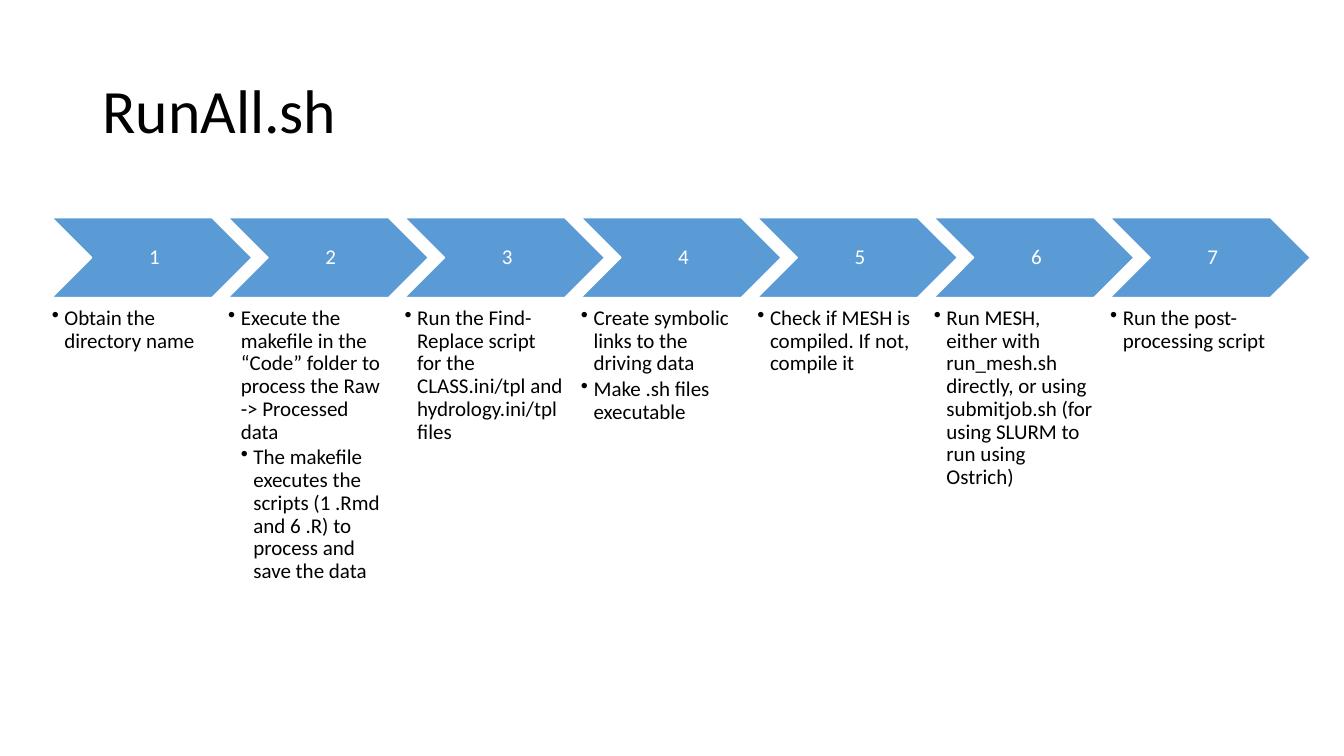
from dataclasses import dataclass
from lxml import etree
from pptx import Presentation
from pptx import util as u
from pptx.dml.color import RGBColor
from pptx.enum import shapes, text
from pptx.oxml import ns


@dataclass(frozen=True)
class Theme:
    face: str = "Calibri"
    blue: str = "5B9BD5"
    white: str = "FFFFFF"
    black: str = "000000"
    head: int = 44
    body: int = 15


class Deck:
    def __init__(self, theme):
        self.theme = theme
        self.prs = Presentation()
        self.prs.slide_width, self.prs.slide_height = u.Pt(960), u.Pt(540)
        self.slide = self.prs.slides.add_slide(self.prs.slide_layouts[5])

    def style(self, para, size, color, align=text.PP_ALIGN.LEFT, after=0):
        para.alignment = align
        para.line_spacing = 0.9
        para.space_before, para.space_after = u.Pt(0), u.Pt(after)
        font = para.font
        font.name, font.size = self.theme.face, u.Pt(size)
        font.color.rgb = RGBColor.from_string(color)

    def inset(self, frame, left, top, right, low):
        frame.word_wrap = True
        frame.margin_left, frame.margin_top = u.Pt(left), u.Pt(top)
        frame.margin_right, frame.margin_bottom = u.Pt(right), u.Pt(low)

    def title(self, words, x, y, w, h):
        box = self.slide.shapes.title
        box.left, box.top, box.width, box.height = map(u.Pt, (x, y, w, h))
        frame = box.text_frame
        frame.text = words
        frame.auto_size = text.MSO_AUTO_SIZE.NONE
        frame.vertical_anchor = text.MSO_ANCHOR.MIDDLE
        self.inset(frame, 7.2, 3.6, 7.2, 3.6)
        self.style(frame.paragraphs[0], self.theme.head, self.theme.black)

    def arrow(self, words, x, y, w, h):
        look = self.theme
        shape = self.slide.shapes.add_shape(
            shapes.MSO_SHAPE.CHEVRON, *map(u.Pt, (x, y, w, h)))
        shape.shadow.inherit = False
        shape.fill.solid()
        shape.fill.fore_color.rgb = RGBColor.from_string(look.blue)
        shape.line.color.rgb = RGBColor.from_string(look.white)
        shape.line.width = u.Pt(1)
        frame = shape.text_frame
        frame.text = words
        frame.vertical_anchor = text.MSO_ANCHOR.MIDDLE
        self.inset(frame, 5, 1.5, 1.5, 1.5)
        self.style(frame.paragraphs[0], look.body, look.white,
                   text.PP_ALIGN.CENTER)

    def notes(self, items, x, y, w, h):
        box = self.slide.shapes.add_textbox(*map(u.Pt, (x, y, w, h)))
        frame = box.text_frame
        self.inset(frame, 0, 0, 0, 0)
        for i, (level, words) in enumerate(items):
            para = frame.add_paragraph() if i else frame.paragraphs[0]
            para.text = words
            para.level = level
            self.bullet(para, 9 * level)
            self.style(para, self.theme.body, self.theme.black, after=2.25)

    def bullet(self, para, left):
        props = para._p.get_or_add_pPr()
        props.set("marL", str(u.Pt(left)))
        props.set("indent", str(u.Pt(-9)))
        etree.SubElement(props, ns.qn("a:buChar")).set("char", "•")


STEPS = [
    [(1, "Obtain the directory name")],
    [(1, "Execute the makefile in the “Code” folder to process the Raw "
         "-> Processed data"),
     (2, "The makefile executes the scripts (1 .Rmd and 6 .R) to process "
         "and save the data")],
    [(1, "Run the Find-Replace script for the CLASS.ini/tpl and "
         "hydrology.ini/tpl files")],
    [(1, "Create symbolic links to the driving data"),
     (1, "Make .sh files executable")],
    [(1, "Check if MESH is compiled. If not, compile it")],
    [(1, "Run MESH, either with run_mesh.sh directly, or using submitjob.sh "
         "(for using SLURM to run using Ostrich)")],
    [(1, "Run the post-processing script")],
]


def main():
    deck = Deck(Theme())
    deck.title("RunAll.sh", 66, 28.75, 828, 104.4)
    for i, items in enumerate(STEPS):
        x = 37 + 126 * i
        deck.arrow(str(i + 1), x, 155.5, 143, 57)
        deck.notes(items, x, 219.6, 114.5, 204)
    deck.prs.save("out.pptx")


if __name__ == "__main__":
    main()
